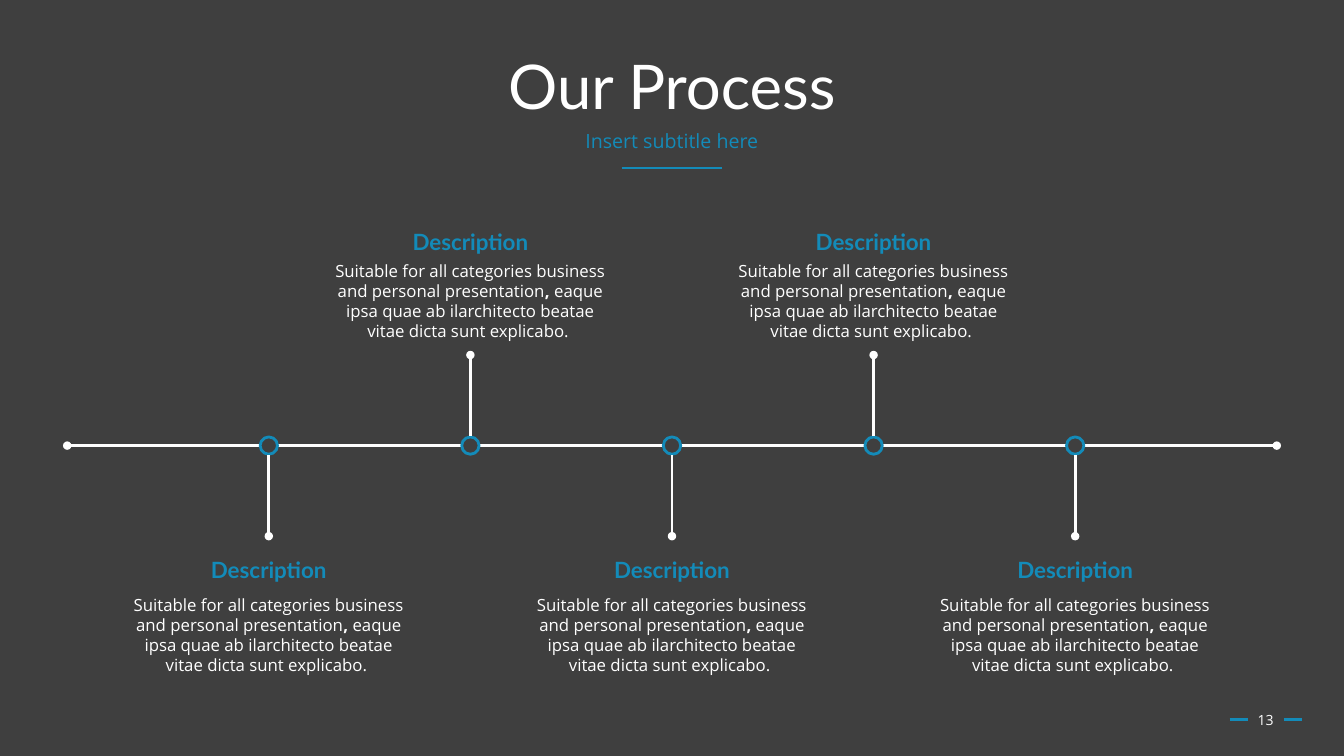
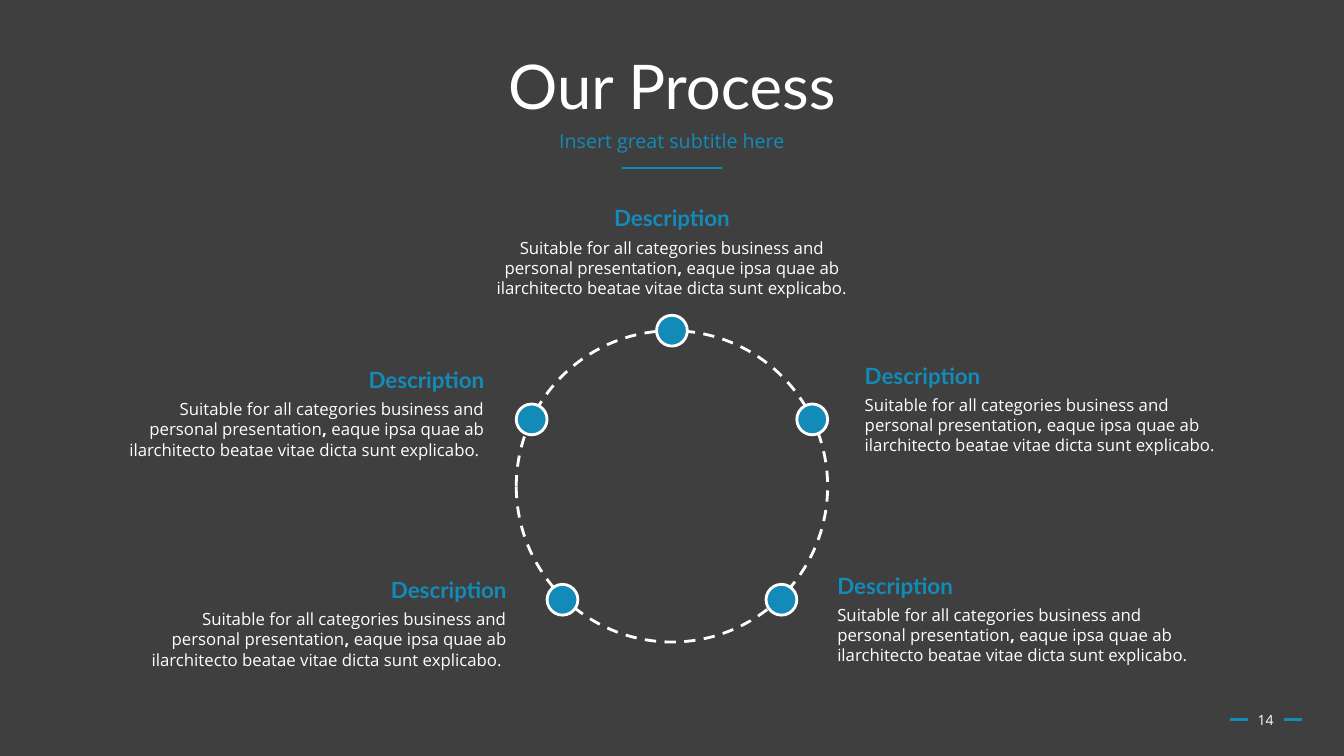
import lxml.etree
import pptx
import pptx.dml.color
import pptx.enum.dml
import pptx.enum.shapes
import pptx.enum.text
import pptx.oxml.ns
import pptx.util

Pt = pptx.util.Pt
qn = pptx.oxml.ns.qn
ALIGN = pptx.enum.text.PP_ALIGN
ANCHOR = pptx.enum.text.MSO_ANCHOR
AUTO_SIZE = pptx.enum.text.MSO_AUTO_SIZE

COLORS = {"back": "3F3F3F", "accent": "138BB9", "light": "FFFFFF"}
HEADING_FONT = "Lato"
BODY_FONT = "Open Sans"
WIDTH, HEIGHT = 960, 540
CENTER = WIDTH / 2

HEADING = "Description"
# Pieces of the description and whether each is bold
DESCRIPTION = [
    ("Suitable for all categories business and personal presentation", False),
    (",", True),
    (" eaque ipsa quae ab ilarchitecto beatae vitae dicta sunt explicabo. ", False),
]


def color(name):
    return pptx.dml.color.RGBColor.from_string(COLORS[name])


class Deck:
    """Holds the shared style and the current page."""

    def __init__(self):
        self.deck = pptx.Presentation()
        self.deck.slide_width, self.deck.slide_height = Pt(WIDTH), Pt(HEIGHT)
        fill = self.deck.slide_master.background.fill
        fill.solid()
        fill.fore_color.rgb = color("back")
        self.page = None

    def add_page(self, subtitle, number):
        self.page = self.deck.slides.add_slide(self.deck.slide_layouts[1])
        # Title and subtitle
        title, body = self.page.placeholders
        self.fill_placeholder(title, 28.8, 70.6, "Our Process", 44,
                              HEADING_FONT, "light", ANCHOR.MIDDLE)
        self.fill_placeholder(body, 90.7, 28.8, subtitle, 14,
                              BODY_FONT, "accent", ANCHOR.TOP)
        self.line((444, 120.2), (515.6, 120.2), "accent", 1.75)
        # Page number between two short rules
        for left in (878.4, 917):
            self.line((left, 514), (left + 12.8, 514), "accent", 1.75)
        box = self.text(882.7, 499.7, 42.5, 28.8, [(str(number), False)], 10)
        box.text_frame.auto_size = AUTO_SIZE.NONE
        box.text_frame.vertical_anchor = ANCHOR.MIDDLE

    def fill_placeholder(self, box, top, height, words, size, font, tint, anchor):
        box.left, box.top = Pt(66), Pt(top)
        box.width, box.height = Pt(828), Pt(height)
        frame = box.text_frame
        frame.auto_size = AUTO_SIZE.NONE
        frame.vertical_anchor = anchor
        para = frame.paragraphs[0]
        properties = para._p.get_or_add_pPr()
        properties.set("marL", "0")
        properties.set("indent", "0")
        lxml.etree.SubElement(properties, qn("a:buNone"))
        para.alignment = ALIGN.CENTER
        para.line_spacing = 0.9
        para.space_before = Pt(0)
        self.span(para, words, size, font, tint)

    def span(self, para, words, size, font, tint, bold=False):
        span = para.add_run()
        span.text = words
        span.font.size = Pt(size)
        span.font.name = font
        span.font.bold = bold
        span.font.color.rgb = color(tint)

    def text(self, left, top, width, height, pieces, size,
             font=BODY_FONT, tint="light", align=ALIGN.CENTER):
        box = self.page.shapes.add_textbox(Pt(left), Pt(top), Pt(width), Pt(height))
        box.text_frame.word_wrap = True
        box.text_frame.auto_size = AUTO_SIZE.SHAPE_TO_FIT_TEXT
        para = box.text_frame.paragraphs[0]
        para.alignment = align
        for words, bold in pieces:
            self.span(para, words, size, font, tint, bold)
        return box

    def callout(self, anchor_x, top, width, height, align=ALIGN.CENTER, gap=23.3):
        """Heading over description; anchor_x is the edge or middle they share."""
        share = {ALIGN.LEFT: 0, ALIGN.CENTER: 0.5, ALIGN.RIGHT: 1}[align]
        self.text(anchor_x - share * width, top + gap, width, height,
                  DESCRIPTION, 12, align=align)
        self.text(anchor_x - share * 164, top, 164, 26.6, [(HEADING, True)],
                  16, HEADING_FONT, "accent", align)

    def line(self, start, end, tint="light", weight=2, ovals=()):
        line = self.page.shapes.add_connector(
            pptx.enum.shapes.MSO_CONNECTOR.STRAIGHT, *map(Pt, start + end))
        line.line.color.rgb = color(tint)
        line.line.width = Pt(weight)
        outline = line.line._get_or_add_ln()
        for name in ovals:
            lxml.etree.SubElement(outline, qn("a:" + name), type="oval")
        lxml.etree.SubElement(line._element.spPr, qn("a:effectLst"))

    def circle(self, x, y, diameter, fill, tint, dash=None):
        circle = self.page.shapes.add_shape(
            pptx.enum.shapes.MSO_SHAPE.OVAL, Pt(x - diameter / 2),
            Pt(y - diameter / 2), Pt(diameter), Pt(diameter))
        circle.shadow.inherit = False
        if fill:
            circle.fill.solid()
            circle.fill.fore_color.rgb = color(fill)
        else:
            circle.fill.background()
        circle.line.color.rgb = color(tint)
        circle.line.width = Pt(2)
        if dash:
            circle.line.dash_style = dash


def timeline_page(deck):
    deck.add_page("Insert subtitle here", 13)
    axis, start, end, steps = 318.3, 48, 912, 5
    deck.line((start, axis), (end, axis), ovals=("headEnd", "tailEnd"))
    step_gap = (end - start) / (steps + 1)
    for step in range(steps):
        x = start + step_gap * (step + 1)
        deck.circle(x, axis, 12.4, "back", "accent")
        # Stems and callouts alternate below and above the axis
        if step % 2 == 0:
            deck.line((x, axis + 7), (x, axis + 64.7), ovals=("tailEnd",))
            deck.callout(x, 393.8, 210, 65.5, gap=27.4)
        else:
            deck.line((x, axis - 64.7), (x, axis - 7), ovals=("headEnd",))
            deck.callout(x, 159.1, 210, 65.5)


def cycle_page(deck):
    deck.add_page("Insert great subtitle here", 14)
    middle, diameter = 347.4, 222.4
    deck.circle(CENTER, middle, diameter, None, "light",
                pptx.enum.dml.MSO_LINE.DASH)
    # Nodes, mirrored about the vertical axis
    for dx, dy in [(0, -diameter / 2), (-100.2, -47.8), (100.2, -47.8),
                   (-78.2, 81), (78.2, 81)]:
        deck.circle(CENTER + dx, middle + dy, 22, "accent", "light")
    # Callouts around the ring
    for x, top, width, align in [
        (CENTER, 142.6, 265, ALIGN.CENTER),
        (610.6, 254.9, 274, ALIGN.LEFT),
        (591, 404.9, 274, ALIGN.LEFT),
        (353, 258.1, 274, ALIGN.RIGHT),
        (369, 408.1, 274, ALIGN.RIGHT),
    ]:
        deck.callout(x, top, width, 51, align)


def main():
    deck = Deck()
    timeline_page(deck)
    cycle_page(deck)
    deck.deck.save("out.pptx")


if __name__ == "__main__":
    main()
